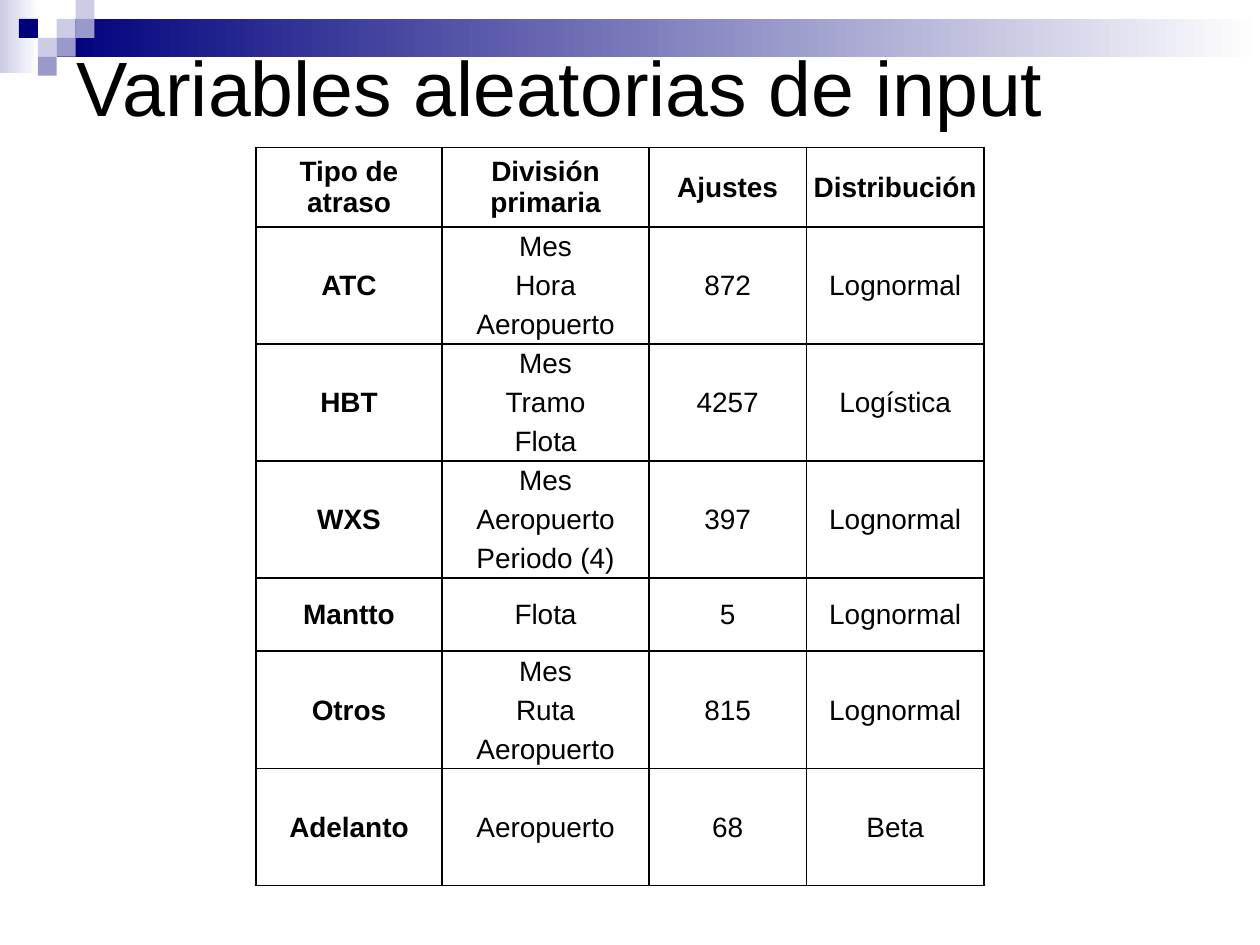
"""Build the slide listing the random input variables and their fitted distributions."""
from dataclasses import dataclass

from lxml import etree
from pptx import Presentation
from pptx.dml.color import RGBColor
from pptx.enum.shapes import MSO_SHAPE
from pptx.enum.text import MSO_ANCHOR, PP_ALIGN
from pptx.oxml.ns import qn
from pptx.util import Inches, Pt

RECTANGLE = MSO_SHAPE.RECTANGLE
MIDDLE = MSO_ANCHOR.MIDDLE
CENTER, LEFT = PP_ALIGN.CENTER, PP_ALIGN.LEFT


@dataclass(frozen=True)
class Theme:
    font: str = "Arial"
    ink: str = "000000"
    paper: str = "FFFFFF"
    navy: str = "00007D"
    violet: str = "9999CC"
    lilac: str = "CCCCE6"
    title_size: int = 44
    table_size: int = 16
    border: int = 1


THEME = Theme()
TITLE = "Variables aleatorias de input"
HEADERS = ("Tipo de atraso", "División primaria", "Ajustes", "Distribución")
DELAYS = [
    ("ATC", ("Mes", "Hora", "Aeropuerto"), "872", "Lognormal"),
    ("HBT", ("Mes", "Tramo", "Flota"), "4257", "Logística"),
    ("WXS", ("Mes", "Aeropuerto", "Periodo (4)"), "397", "Lognormal"),
    ("Mantto", ("Flota",), "5", "Lognormal"),
    ("Otros", ("Mes", "Ruta", "Aeropuerto"), "815", "Lognormal"),
    ("Adelanto", ("Aeropuerto",), "68", "Beta"),
]
COLUMN_WIDTHS = (1.48, 1.64, 1.25, 1.41)
HEADER_HEIGHT, LINE_HEIGHT = 0.63, 0.31
SINGLE_HEIGHTS = {"Mantto": 0.58, "Adelanto": 0.93}
TILE = 0.15
BANDS = [((0, 0, 0.31, 0.58), THEME.lilac), ((0.45, TILE, 9.55, 0.3), THEME.navy)]
TILES = [
    (3, 1, THEME.lilac), (4, 0, THEME.lilac), (4, 1, THEME.violet), (2, 2, THEME.lilac),
    (1, 1, THEME.navy), (3, 2, THEME.violet), (2, 3, THEME.violet),
]


def add_block(slide, box, color, fades=False):
    block = slide.shapes.add_shape(RECTANGLE, *map(Inches, box))
    block.shadow.inherit = False
    block.line.fill.background()
    if fades:
        block.fill.gradient()
        block.fill.gradient_angle = 0
        for stop, shade in zip(block.fill.gradient_stops, (color, THEME.paper)):
            stop.color.rgb = RGBColor.from_string(shade)
    else:
        block.fill.solid()
        block.fill.fore_color.rgb = RGBColor.from_string(color)


def add_run(paragraph, text, size, bold=False):
    run = paragraph.add_run()
    run.text = text
    run.font.name = THEME.font
    run.font.size = Pt(size)
    run.font.bold = bold
    run.font.color.rgb = RGBColor.from_string(THEME.ink)


def style_cell(cell, sides):
    properties = cell._tc.get_or_add_tcPr()
    for side in "LRTB":
        line = etree.SubElement(properties, qn(f"a:ln{side}"), w=str(Pt(THEME.border)))
        if side in sides:
            fill = etree.SubElement(line, qn("a:solidFill"))
            etree.SubElement(fill, qn("a:srgbClr"), val=THEME.ink)
        else:
            etree.SubElement(line, qn("a:noFill"))
    cell.fill.background()
    cell.vertical_anchor = MIDDLE
    cell.margin_left = cell.margin_right = cell.margin_top = Inches(0.01)
    cell.margin_bottom = 0


def write_cell(cell, text, bold=False):
    paragraph = cell.text_frame.paragraphs[0]
    paragraph.alignment = CENTER
    add_run(paragraph, text, THEME.table_size, bold)


def add_delay_table(slide):
    heights = [HEADER_HEIGHT]
    for name, divisions, *_ in DELAYS:
        heights += [SINGLE_HEIGHTS.get(name, LINE_HEIGHT)] * len(divisions)
    frame = slide.shapes.add_table(
        len(heights), len(HEADERS), Inches(2.03), Inches(1.17),
        Inches(sum(COLUMN_WIDTHS)), Inches(sum(heights)))
    table = frame.table
    table.first_row = table.horz_banding = False
    for column, width in zip(table.columns, COLUMN_WIDTHS):
        column.width = Inches(width)
    for row, height in zip(table.rows, heights):
        row.height = Inches(height)

    for column, header in enumerate(HEADERS):
        style_cell(table.cell(0, column), "LRTB")
        write_cell(table.cell(0, column), header, bold=True)

    top = 1
    for name, divisions, fits, distribution in DELAYS:
        last = top + len(divisions) - 1
        for row, division in enumerate(divisions, top):
            sides = "LR" + "T" * (row == top) + "B" * (row == last)
            for column in range(len(HEADERS)):
                whole = column != 1 and row == top
                style_cell(table.cell(row, column), "LRTB" if whole else sides)
            write_cell(table.cell(row, 1), division)
        for column, text in ((0, name), (2, fits), (3, distribution)):
            cell = table.cell(top, column)
            if last > top:
                cell.merge(table.cell(last, column))
            write_cell(cell, text, bold=column == 0)
        top = last + 1


def add_title(slide):
    title = slide.shapes.title
    title.left, title.top, title.width, title.height = map(Inches, (0.51, 0, 9, 1.5))
    title.text_frame.vertical_anchor = MIDDLE
    title.text_frame.word_wrap = True
    paragraph = title.text_frame.paragraphs[0]
    paragraph.alignment = LEFT
    paragraph.line_spacing = 0.8
    add_run(paragraph, TITLE, THEME.title_size)
    slide.shapes._spTree.append(title._element)


def main():
    deck = Presentation()
    deck.slide_width, deck.slide_height = Inches(10), Inches(7.5)
    slide = deck.slides.add_slide(deck.slide_layouts[5])
    for box, color in BANDS:
        add_block(slide, box, color, fades=True)
    for column, row, color in TILES:
        add_block(slide, (column * TILE, row * TILE, TILE, TILE), color)
    add_delay_table(slide)
    add_title(slide)
    deck.save("out.pptx")


if __name__ == "__main__":
    main()
